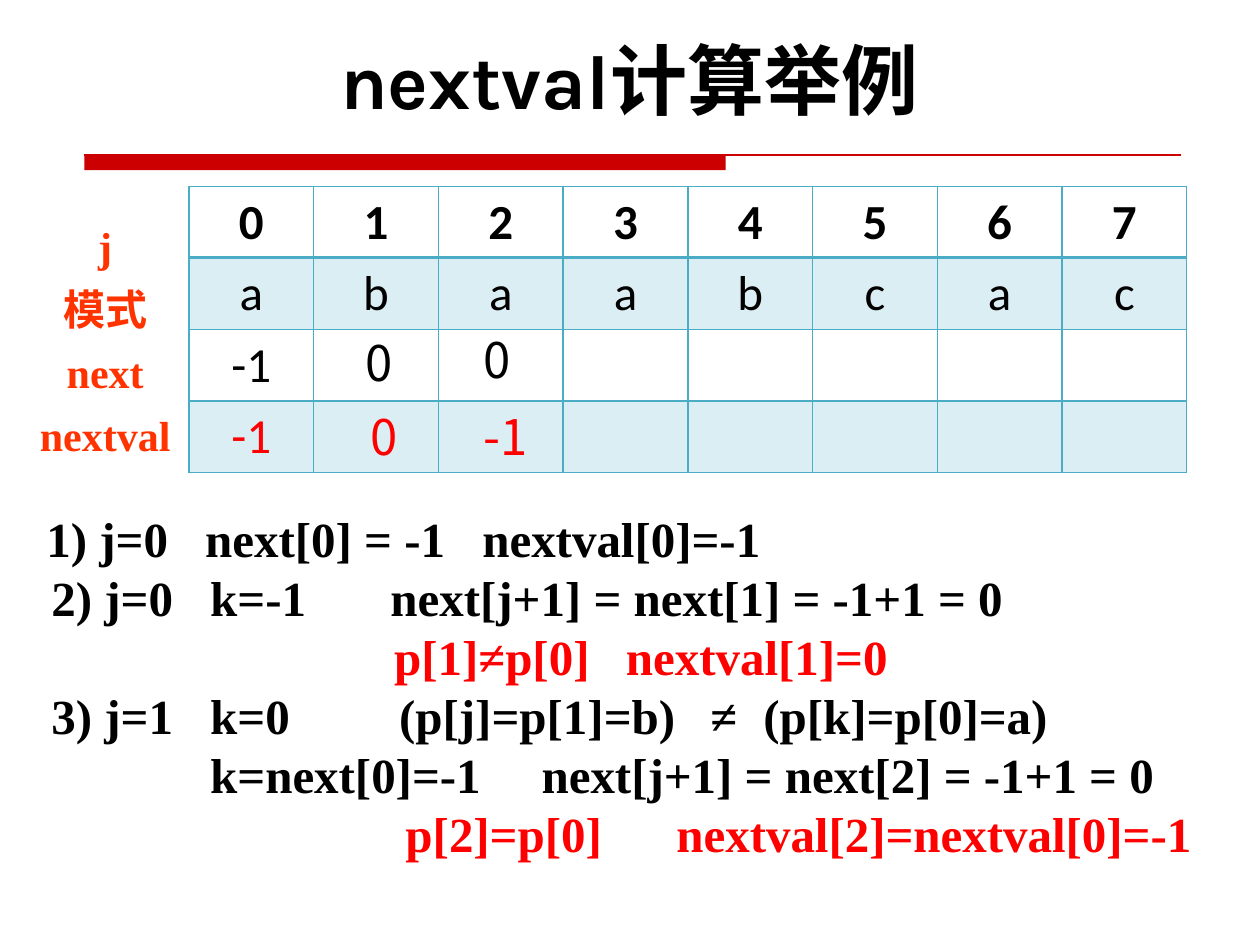
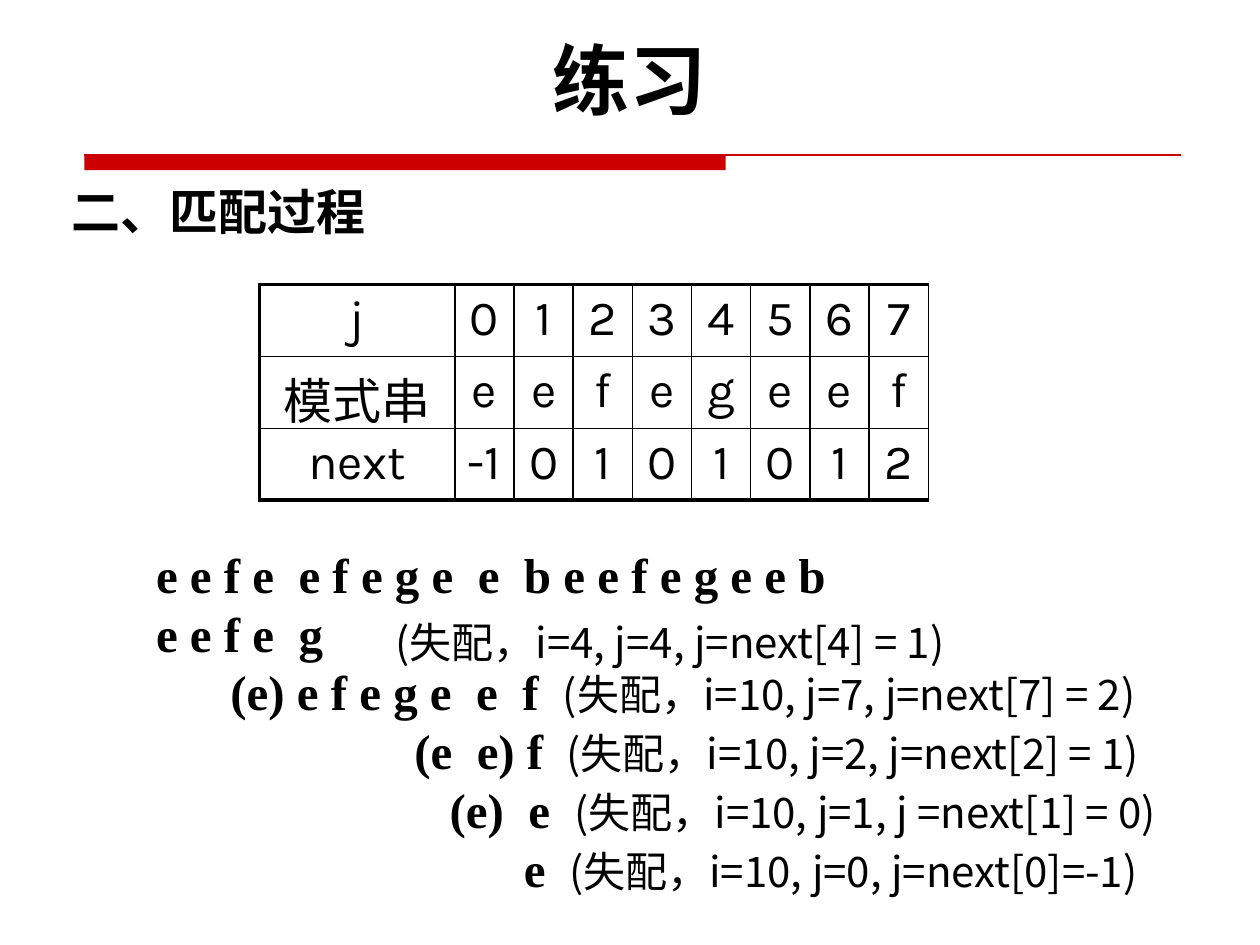
from lxml.etree import SubElement
from pptx import Presentation
from pptx.dml.color import RGBColor
from pptx.enum.shapes import MSO_CONNECTOR, MSO_SHAPE
from pptx.enum.text import MSO_ANCHOR, MSO_AUTO_SIZE, PP_ALIGN
from pptx.oxml.ns import qn
from pptx.util import Inches, Pt

COLORS = {
    "band": "CC0000",
    "text": "000000",
    "label": "FF3300",
    "result": "FF0000",
    "grid": "4BACC6",
    "stripe": "DBEEF4",
}
SERIF, SANS, LATIN, CELL = "Times New Roman", "Noto Sans CJK SC", "Karla", "Calibri"
TITLE_BOX = (0.62, 0.3, 8.75, 0.74)
BAND_BOX = (0.67, 1.23, 8.7, 0.12)


def rgb(name):
    return RGBColor.from_string(COLORS[name])


def set_font(font, name, size, color="text", bold=False):
    font.name, font.size, font.bold = name, Pt(size), bold
    font.color.rgb = rgb(color)


def add_text_box(slide, box, wrap=True):
    tf = slide.shapes.add_textbox(*map(Inches, box)).text_frame
    tf.word_wrap = wrap
    return tf


def add_line(slide, box, text, font, size, color="text", bold=False):
    p = add_text_box(slide, box).paragraphs[0]
    p.text = text
    set_font(p.font, font, size, color, bold)


def set_tabs(p, stops):
    """Put left tab stops at the given distances, in inches."""
    tabs = SubElement(p._p.get_or_add_pPr(), qn("a:tabLst"))
    for stop in stops:
        SubElement(tabs, qn("a:tab"), pos=str(Inches(stop)), algn="l")


def add_tabbed_lines(slide, box, lines):
    """Each line is a list of (distance, text, font settings) pieces."""
    tf = add_text_box(slide, box)
    for i, pieces in enumerate(lines):
        p = tf.paragraphs[0] if i == 0 else tf.add_paragraph()
        for x, text, settings in pieces:
            r = p.add_run()
            r.text = "\t" + text if x else text
            set_font(r.font, *settings)
        set_tabs(p, [x for x, _, _ in pieces if x])


def add_band(slide, box):
    left, top, width, height = map(Inches, box)
    sp = slide.shapes.add_shape(MSO_SHAPE.RECTANGLE, left, top, Inches(5.09), height)
    sp.shadow.inherit = False
    sp.fill.solid()
    sp.fill.fore_color.rgb = rgb("band")
    sp.line.fill.background()
    rule = slide.shapes.add_connector(MSO_CONNECTOR.STRAIGHT, left, top, left + width, top)
    rule.line.color.rgb = rgb("band")
    rule.line.width = Pt(0.75)
    SubElement(rule._element.spPr, qn("a:effectLst"))


def add_titled_slide(prs, title):
    slide = prs.slides.add_slide(prs.slide_layouts[5])
    sp = slide.shapes.title
    sp.left, sp.top, sp.width, sp.height = map(Inches, TITLE_BOX)
    tf = sp.text_frame
    tf.text = title
    tf.auto_size = MSO_AUTO_SIZE.NONE
    tf.vertical_anchor = MSO_ANCHOR.BOTTOM
    p = tf.paragraphs[0]
    p.alignment = PP_ALIGN.CENTER
    set_font(p.font, LATIN, 44, bold=True)
    add_band(slide, BAND_BOX)
    return slide


def set_borders(cell, color, widths):
    """Line the left, right, top and bottom sides with widths in points."""
    tcPr = cell._tc.get_or_add_tcPr()
    for side, width in zip("LRTB", widths):
        ln = SubElement(tcPr, qn(f"a:ln{side}"), w=str(Pt(width)))
        fill = SubElement(ln, qn("a:solidFill"))
        SubElement(fill, qn("a:srgbClr"), val=COLORS[color])


def add_grid(slide, box, col_widths, rows, line_color, h_lines, v_lines, style):
    """Add a table; h_lines and v_lines are the widths of its rules, in order."""
    left, top, width, height = map(Inches, box)
    frame = slide.shapes.add_table(len(rows), len(col_widths), left, top, width, height)
    table = frame.table
    table.first_row = table.horz_banding = False
    for col, col_width in zip(table.columns, col_widths):
        col.width = Inches(col_width)
    for i, row in enumerate(rows):
        table.rows[i].height = height // len(rows)
        for j, text in enumerate(row):
            cell = table.cell(i, j)
            set_borders(cell, line_color,
                        (v_lines[j], v_lines[j + 1], h_lines[i], h_lines[i + 1]))
            p = cell.text_frame.paragraphs[0]
            p.text = text
            p.alignment = PP_ALIGN.CENTER
            style(cell, p, i)


def style_nextval_cell(cell, p, row):
    cell.vertical_anchor = MSO_ANCHOR.MIDDLE
    if row % 2:
        cell.fill.solid()
        cell.fill.fore_color.rgb = rgb("stripe")
    else:
        cell.fill.background()
    set_font(p.font, CELL, 28, "result" if row == 3 else "text", bold=row == 0)


def style_next_cell(cell, p, row):
    cell.margin_left = cell.margin_right = 0
    cell.fill.background()
    set_font(p.font, LATIN, 28)


def add_row_labels(slide, box, labels):
    tf = add_text_box(slide, box, wrap=False)
    for i, label in enumerate(labels):
        p = tf.paragraphs[0] if i == 0 else tf.add_paragraph()
        p.text = label
        p.alignment = PP_ALIGN.CENTER
        p.line_spacing = 1.25
        set_font(p.font, SERIF, 24, "label", True)


def build_nextval_slide(prs):
    slide = add_titled_slide(prs, "nextval计算举例")
    add_row_labels(slide, (0.21, 1.6, 1.25, 2.07), ["j", "模式", "next", "nextval"])
    first_only = ["-1"] + [""] * 7
    add_grid(slide, (1.5, 1.48, 7.92, 2.27), [0.99] * 8,
             ["01234567", "abaabcac", first_only, first_only],
             "grid", [1, 2, 1, 1, 1], [1] * 9, style_nextval_cell)

    black, red = (SERIF, 28, "text", True), (SERIF, 28, "result", True)
    add_tabbed_lines(slide, (0.21, 3.99, 9.85, 2.93), [
        [(0.06, "1) j=0", black), (1.32, "next[0] = -1", black),
         (3.52, "nextval[0]=-1", black)],
        [(0.1, "2) j=0", black), (1.36, "k=-1", black),
         (2.79, "next[j+1] = next[1] = -1+1 = 0", black)],
        [(2.82, "p[1]≠p[0]", red), (4.66, "nextval[1]=0", red)],
        [(0.1, "3) j=1", black), (1.36, "k=0", black), (2.86, "(p[j]=p[1]=b)", black),
         (5.33, "≠", black), (5.75, "(p[k]=p[0]=a)", black)],
        [(1.36, "k=next[0]=-1", black), (3.99, "next[j+1] = next[2] = -1+1 = 0", black)],
        [(2.91, "p[2]=p[0]", red), (5.06, "nextval[2]=nextval[0]=-1", red)],
    ])
    for left, top, value, color in [(2.8, 2.59, "0", "text"), (2.84, 3.18, "0", "result"),
                                    (3.74, 2.57, "0", "text"), (3.74, 3.18, "-1", "result")]:
        add_line(slide, (left, top, 0.63, 0.57), value, SANS, 28, color)


def build_matching_slide(prs):
    slide = add_titled_slide(prs, "练习")
    add_line(slide, (0.47, 1.39, 8.62, 0.57), "二、匹配过程", SERIF, 28, bold=True)
    add_grid(slide, (2.06, 2.26, 5.31, 1.71), [1.55] + [0.47] * 8,
             [["j", *"01234567"], ["模式串", *"eefegeef"], ["next", "-1", *"0101012"]],
             "text", [2.25, 1, 1, 2.25], [2.25] + [1] * 9, style_next_cell)

    letters, note = (SERIF, 28, "text", True), (SANS, 24)
    steps = [
        (0.59, "(e) e f e g e  e  f", 3.23, "(失配，i=10, j=7, j=next[7] = 2)"),
        (2.05, "(e  e) f", 3.26, "(失配，i=10, j=2, j=next[2] = 1)"),
        (2.33, "(e)  e", 3.32, "(失配，i=10, j=1, j =next[1] = 0)"),
        (2.92, "e", 3.28, "(失配，i=10, j=0, j=next[0]=-1)"),
    ]
    add_tabbed_lines(slide, (1.14, 4.27, 9.37, 2.93), [
        [(0, "e e f e  e f e g e  e  b e e f e g e e b", letters)],
        [(0, "e e f e  g", letters)],
        *([(x, tried, letters), (note_x, reason, note)]
          for x, tried, note_x, reason in steps),
    ])
    add_line(slide, (3.04, 4.84, 5.82, 0.5), "(失配，i=4, j=4, j=next[4] = 1)", SANS, 24)


def main():
    prs = Presentation()
    prs.slide_width, prs.slide_height = Inches(10), Inches(7.5)
    build_nextval_slide(prs)
    build_matching_slide(prs)
    prs.save("out.pptx")


if __name__ == "__main__":
    main()
